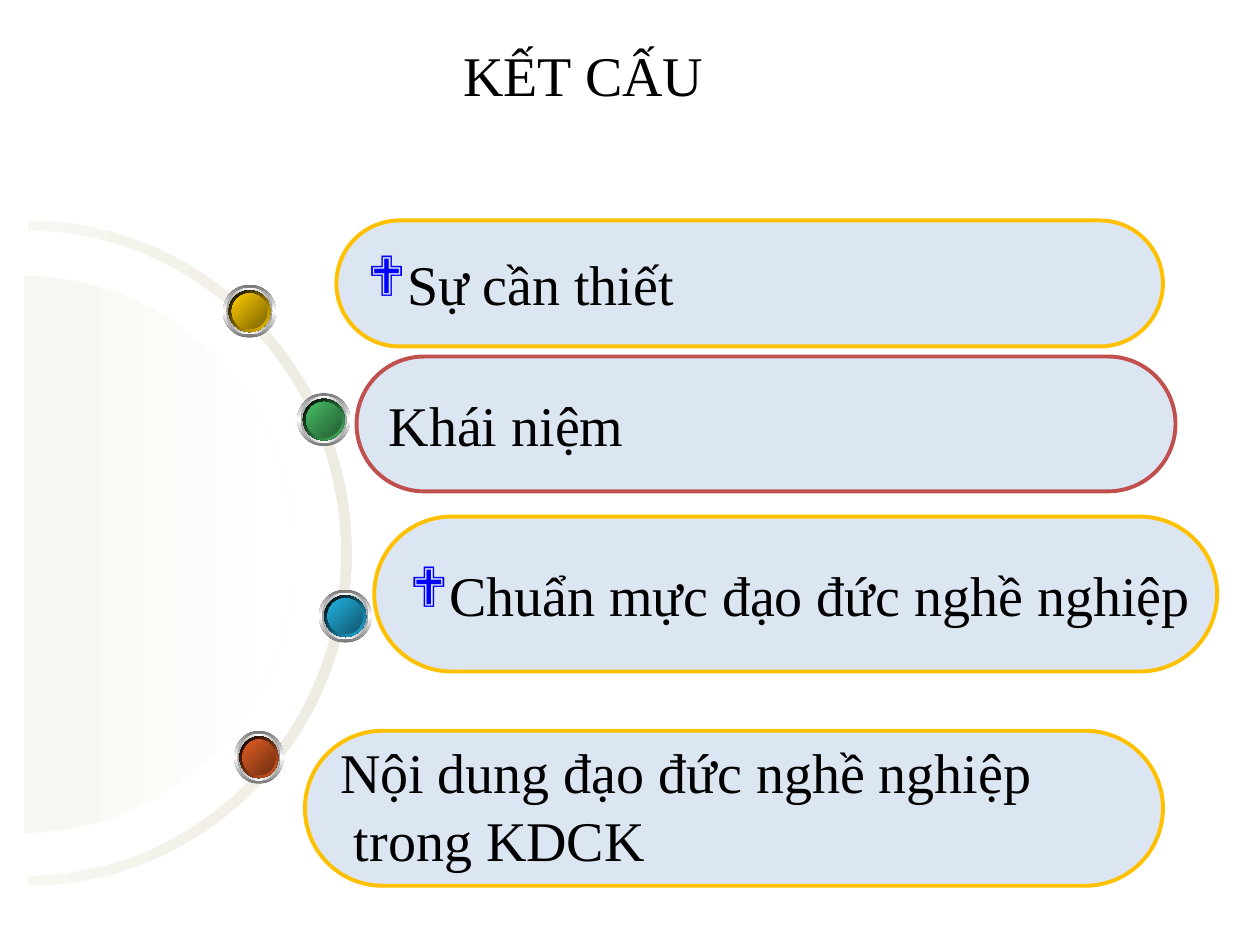
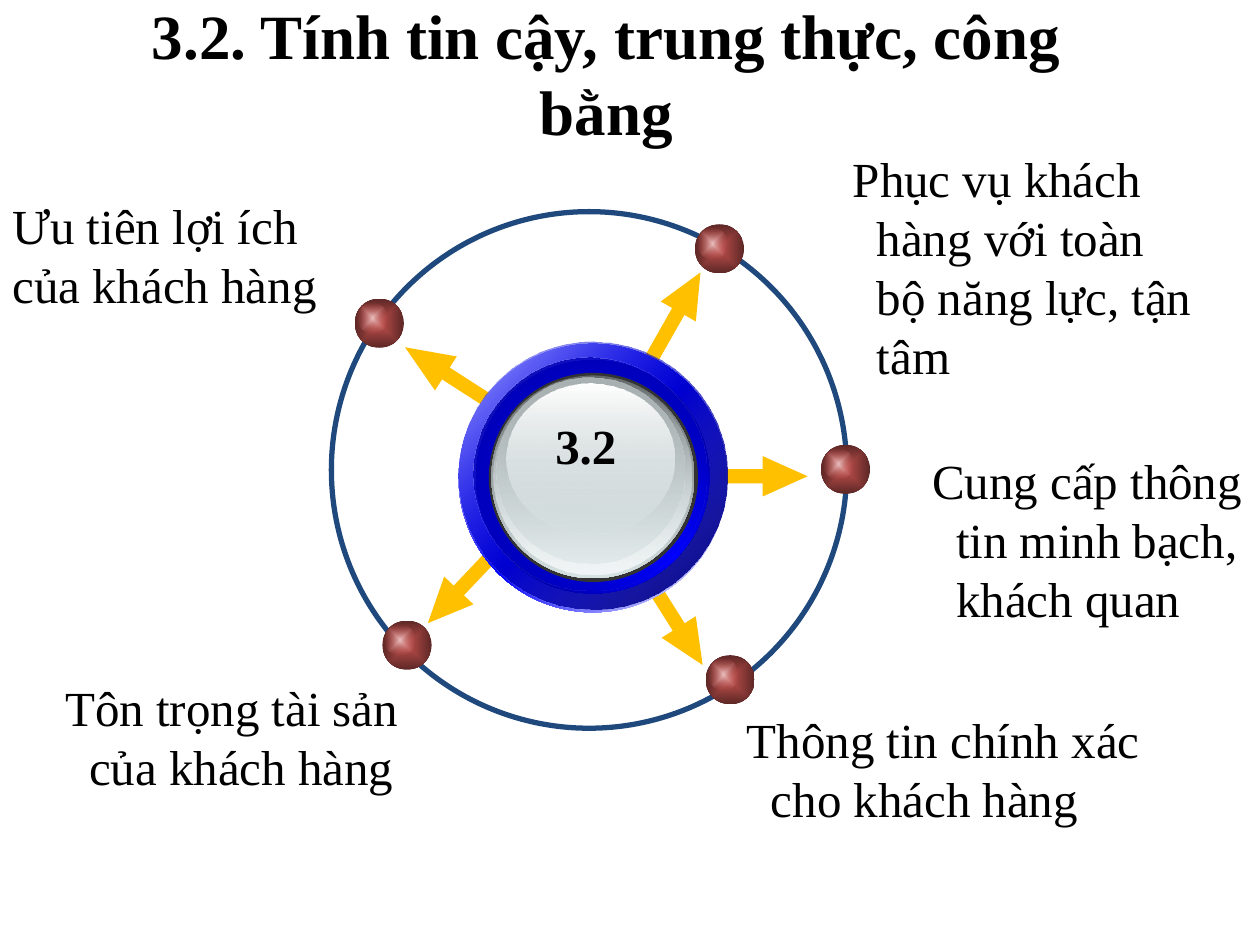
from dataclasses import dataclass

from lxml import etree
from pptx import Presentation
from pptx.dml.color import RGBColor
from pptx.enum.shapes import MSO_SHAPE
from pptx.enum.text import MSO_ANCHOR, MSO_AUTO_SIZE, PP_ALIGN
from pptx.oxml import parse_xml
from pptx.oxml.ns import nsdecls, qn
from pptx.util import Inches, Pt


@dataclass(frozen=True)
class Theme:
    font: str = "Times New Roman"
    bullet_font: str = "Wingdings"
    text: str = "000000"
    bullet: str = "0000FF"
    panel: str = "DCE6F2"
    gold: str = "FFC000"
    red: str = "C0504D"
    navy: str = "1F497D"
    cream: str = "F7F6F1"
    sand: str = "EEECE1"
    white: str = "FFFFFF"
    heading_size: int = 36
    large_size: int = 32
    label_size: int = 28


theme = Theme()

# The slide is a grid of 100 columns by 75 rows with square cells
CELL = Inches(0.1)
presentation = Presentation()
presentation.slide_width = 100 * CELL
presentation.slide_height = 75 * CELL
title_only = presentation.slide_layouts[5]


def draw(slide, kind, geometry, fill=None, line=None, line_width=2.25):
    """Draw a preset in a box of grid cells, or half-ellipse arcs if kind is None.

    An arc has seven points: its start and two cubic curves of three points each.
    A fill is a colour, or (stops, angle); a stop is (colour, opacity in percent)
    and the angle None makes the gradient run from the centre outwards.
    """
    if kind is None:
        points = [(int(x * CELL), int(y * CELL)) for arc in geometry for x, y in arc]
        builder = slide.shapes.build_freeform(*points[0], scale=1.0)
        builder.add_line_segments(points[1:], close=True)
        shape = builder.convert_to_shape()
        nodes = list(next(shape.element.iter(qn("a:path"))))[:len(points)]
        for start in range(1, len(points), 7):
            for first in (start, start + 3):
                curve = etree.Element(qn("a:cubicBezTo"))
                nodes[first].addprevious(curve)
                for node in nodes[first:first + 3]:
                    curve.append(node[0])
                    node.getparent().remove(node)
    else:
        shape = slide.shapes.add_shape(kind, *[int(value * CELL) for value in geometry])
    shape.shadow.inherit = False
    if fill is None:
        shape.fill.background()
    elif isinstance(fill, str):
        shape.fill.solid()
        shape.fill.fore_color.rgb = RGBColor.from_string(fill)
    else:
        stops, angle = fill
        shape.fill.background()
        gradient = parse_xml(f'<a:gradFill {nsdecls("a")} rotWithShape="1"><a:gsLst/></a:gradFill>')
        for index, (color, opacity) in enumerate(stops):
            position = 100000 * index // (len(stops) - 1)
            stop = etree.SubElement(gradient[0], qn("a:gs"), pos=str(position))
            tint = etree.SubElement(stop, qn("a:srgbClr"), val=color)
            if opacity < 100:
                etree.SubElement(tint, qn("a:alpha"), val=str(opacity * 1000))
        if angle is None:
            direction = etree.SubElement(gradient, qn("a:path"), path="rect")
            etree.SubElement(direction, qn("a:fillToRect"), l="50000", t="50000", r="50000", b="50000")
        else:
            etree.SubElement(gradient, qn("a:lin"), ang=str(angle * 60000), scaled="1")
        properties = shape.element.spPr
        properties.replace(properties.find(qn("a:noFill")), gradient)
    if line:
        shape.line.color.rgb = RGBColor.from_string(line)
        shape.line.width = Pt(line_width)
    else:
        shape.line.fill.background()
    return shape


def write(shape, lines, size, align=PP_ALIGN.LEFT, anchor=MSO_ANCHOR.MIDDLE,
          wrap=True, bold=False, bullet=False, bottom=0.5):
    """Write lines given as (text, left margin, first-line indent), in grid cells."""
    frame = shape.text_frame
    frame.word_wrap = wrap
    frame.auto_size = MSO_AUTO_SIZE.NONE
    frame.vertical_anchor = anchor
    frame.margin_bottom = int(bottom * CELL)
    for index, (text, margin, indent) in enumerate(lines):
        paragraph = frame.paragraphs[0] if index == 0 else frame.add_paragraph()
        paragraph.alignment = align
        properties = paragraph._p.get_or_add_pPr()
        properties.set("marL", str(int(margin * CELL)))
        properties.set("indent", str(int(indent * CELL)))
        if bullet:
            color = etree.SubElement(properties, qn("a:buClr"))
            etree.SubElement(color, qn("a:srgbClr"), val=theme.bullet)
            etree.SubElement(properties, qn("a:buFont"), typeface=theme.bullet_font, charset="2")
            etree.SubElement(properties, qn("a:buChar"), char="❖")
        run = paragraph.add_run()
        run.text = text
        run.font.name = theme.font
        run.font.size = Pt(size)
        run.font.bold = bold
        run.font.color.rgb = RGBColor.from_string(theme.text)


# Both slides and their titles
slides = []
for title, box, size, bold, bottom in [
    ("KẾT CẤU", (5.9, 2.8, 80.8, 6.2), theme.large_size, False, 0.5),
    ("3.2. Tính tin cậy, trung thực, công bằng", (7, 2.5, 82.2, 12.5), theme.heading_size, True, 6.5),
]:
    slide = presentation.slides.add_slide(title_only)
    placeholder = slide.shapes.title
    placeholder.left, placeholder.top, placeholder.width, placeholder.height = [
        int(value * CELL) for value in box]
    write(placeholder, [(title, 0, 0)], size, PP_ALIGN.CENTER, bold=bold, bottom=bottom)
    slides.append(slide)
outline_slide, principle_slide = slides

# Slide 1: half ring and half disc on the left edge
BEND = 0.55
half_circle = [(0, -1), (BEND, -1), (1, -BEND), (1, 0), (1, BEND), (BEND, 1), (0, 1)]
outer_edge, inner_edge, disc_edge = [
    [(center_x + radius_x * x, center_y + radius_y * y) for x, y in half_circle]
    for center_x, center_y, radius_x, radius_y in [
        (2.2, 43.9, 25.7, 26.4), (2.2, 43.9, 24.9, 25.6), (1.9, 44, 21.5, 22.1)]
]
draw(outline_slide, None, [outer_edge, inner_edge[::-1]],
     (((theme.cream, 100), (theme.sand, 100)), 0))
draw(outline_slide, None, [disc_edge], (((theme.cream, 100), (theme.white, 100)), 0))

# Slide 1: chapter panels
for box, line, lines, bullet, bottom in [
    ((24.2, 58, 68.1, 12.3), theme.gold,
     [("Nội dung đạo đức nghề nghiệp", 0, 0), ("trong KDCK", 1.1, 0)], False, 1),
    ((28.3, 28.3, 65, 10.7), theme.red, [("Khái niệm", 0, 0)], False, 0.5),
    ((26.7, 17.5, 65.6, 10), theme.gold, [("Sự cần thiết", 0, 0)], True, 0.5),
    ((29.7, 41, 66.9, 12.3), theme.gold, [("Chuẩn mực đạo đức nghề nghiệp", 0, 0)], True, 0.5),
]:
    panel = draw(outline_slide, MSO_SHAPE.ROUNDED_RECTANGLE, box, theme.panel, line)
    panel.adjustments[0] = 0.5
    write(panel, lines, theme.large_size, wrap=False, bullet=bullet, bottom=bottom)

# Slide 1: buttons on the ring, each a stack of concentric discs
for left, top, width, color, shade in [
    (17.7, 22.6, 4.2, "FFCC00", "7C6300"),
    (23.6, 31.2, 4.2, "48BE67", "235C32"),
    (25.3, 46.8, 4.2, "21B3E1", "10576D"),
    (18.6, 58, 3.9, "E35E23", "6E2E11"),
]:
    height = 4.2
    for share, colors, angle in [
        (1, ("767676", theme.white, "767676"), 90),
        (0.88, ("A2A2A2", theme.white, "A2A2A2"), 0),
        (0.79, ("000000", color), 45),
        (0.67, (color, shade), 45),
    ]:
        margin = (1 - share) / 2
        disc = (left + margin * width, top + margin * height, share * width, share * height)
        draw(outline_slide, MSO_SHAPE.OVAL, disc, ([(stop, 100) for stop in colors], angle))

# Slide 2: arrows from the hub, placed by centre, length and angle
for center_x, center_y, length, angle in [
    (53.45, 25.4, 8.7, 299.6),
    (53.45, 49.1, 8.7, 57.8),
    (36.95, 46.3, 8.7, 133.5),
    (59.75, 37.8, 8.7, 0),
    (36.1, 30.1, 9.4, 212.7),
]:
    box = (center_x - length / 2, center_y - 1.6, length, 3.2)
    arrow = draw(principle_slide, MSO_SHAPE.RIGHT_ARROW, box, theme.gold)
    arrow.adjustments[0] = 0.35
    arrow.adjustments[1] = 0.128 * length
    arrow.rotation = angle

# Slide 2: orbit
draw(principle_slide, MSO_SHAPE.OVAL, (26.3, 16.8, 40.9, 41), line=theme.navy, line_width=3)

# Slide 2: hub, from the blue rim to the glass centre
for box, fill in [
    ((36.4, 27.3, 21.3, 21.3), (((theme.white, 100), ("0000FF", 100), (theme.white, 100)), 45)),
    ((36.4, 27.1, 21.3, 21.3), ((("0000FF", 32), ("000076", 100)), 45)),
    ((37.8, 28.6, 18.5, 18.5), ((("00008A", 100), ("0000FF", 100), ("00008A", 100)), 315)),
    ((37.6, 28.4, 18.5, 18.5), ((("0000A2", 100), ("0000FF", 0)), 45)),
    ((38.8, 29.6, 16.6, 16.6), "333333"),
    ((39, 29.8, 16.1, 16.1), ((("636869", 100), ("D6E1E2", 100)), 90)),
    ((39.2, 29.9, 15.7, 15.7), ((("D6E1E2", 0), ("F1F5F5", 100)), 90)),
    ((39.4, 30, 14.9, 14.7), ((("AAB2B3", 100), ("D6E1E2", 48)), 90)),
    ((40.2, 30.4, 13.3, 11.9), (((theme.white, 100), ("D6E1E2", 38)), 90)),
]:
    draw(principle_slide, MSO_SHAPE.OVAL, box, fill)

# Slide 2: balls on the orbit, each with a highlight
for left, top in [(30.35, 49.25), (28.15, 23.7), (55.15, 17.8), (65.15, 35.3), (56, 52)]:
    draw(principle_slide, MSO_SHAPE.OVAL, (left, top, 3.9, 3.9),
         (((theme.red, 100), ("5D2725", 100)), None))
    draw(principle_slide, MSO_SHAPE.OVAL, (left + 0.2, top + 0.3, 2.4, 2.5),
         ((("E8BFBE", 100), (theme.red, 0)), None))

# Slide 2: hub number and labels
number = principle_slide.shapes.add_textbox(
    *[int(value * CELL) for value in (43.1, 32.5, 6.8, 5.7)])
write(number, [("3.2", 0, 0)], theme.label_size, PP_ALIGN.CENTER, MSO_ANCHOR.TOP,
      wrap=False, bold=True)

for box, text, hanging in [
    ((0, 15, 30.7, 20.8), "Ưu tiên lợi ích của khách hàng", 0),
    ((4.2, 53.3, 31.3, 19.7), "Tôn trọng tài sản của khách hàng", 1.9),
    ((58.3, 55.8, 38.3, 19.2), "Thông tin chính xác cho khách hàng", 1.9),
    ((73, 35.3, 27, 19.7), "Cung cấp thông tin minh bạch, khách quan", 1.9),
    ((66.7, 11.3, 29.9, 24.4), "Phục vụ khách hàng với toàn bộ năng lực, tận tâm", 1.9),
]:
    label = principle_slide.shapes.add_textbox(*[int(value * CELL) for value in box])
    write(label, [(text, hanging, -hanging)], theme.label_size, anchor=MSO_ANCHOR.TOP)

presentation.save("out.pptx")
